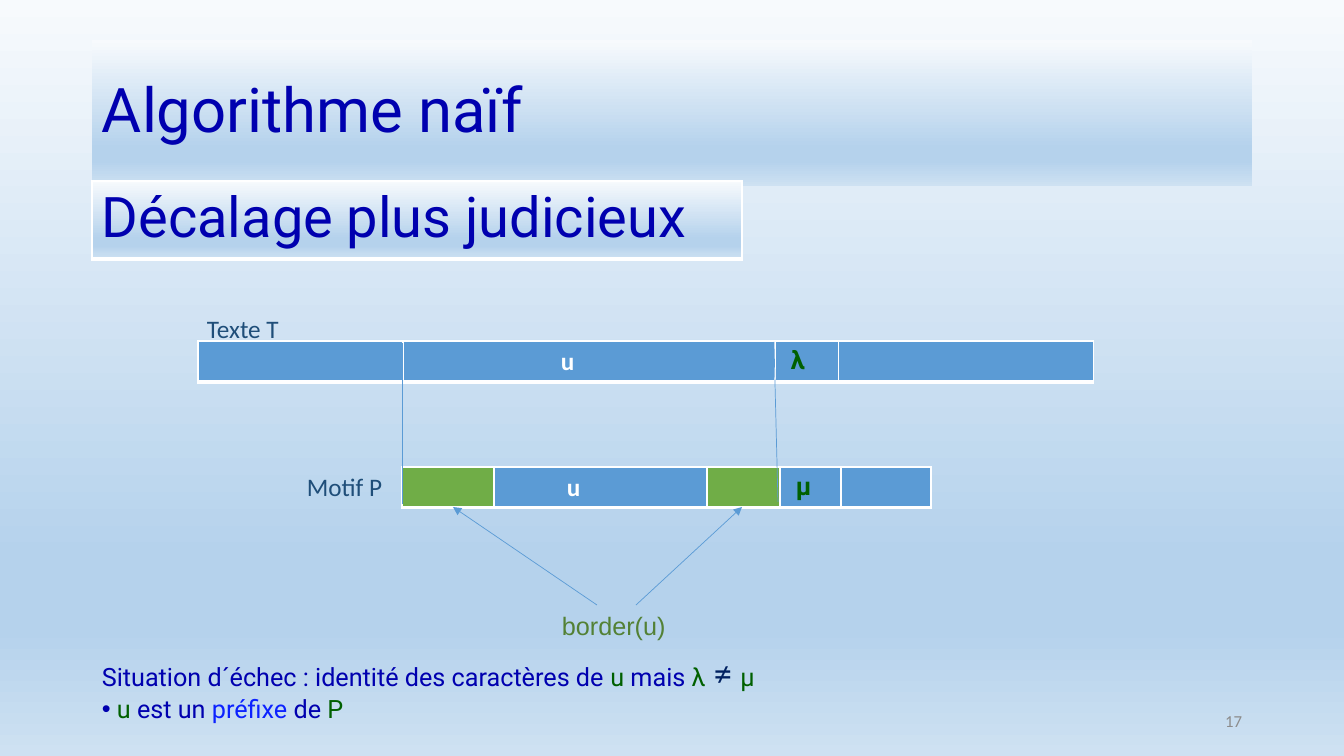
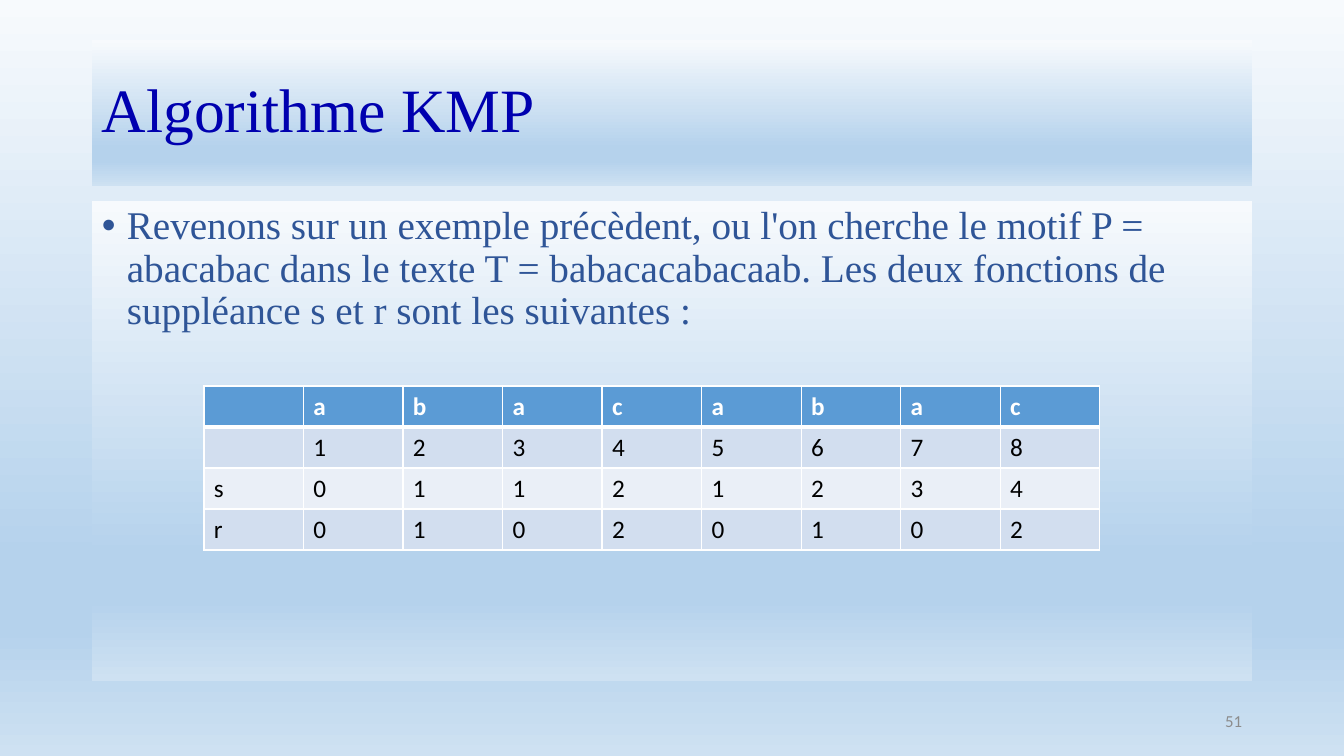
from lxml.etree import SubElement
from pptx import Presentation
from pptx.dml.color import RGBColor
from pptx.enum.shapes import MSO_CONNECTOR, MSO_SHAPE
from pptx.enum.text import MSO_ANCHOR, PP_ALIGN
from pptx.oxml.ns import qn
from pptx.util import Emu, Pt

SLIDE_WIDTH, SLIDE_HEIGHT = 1344, 756
SCALE = 12192000 / SLIDE_WIDTH

# Colours
NAVY = RGBColor(0x00, 0x00, 0xAF)
INK = RGBColor(0x00, 0x20, 0x60)
BRIGHT_BLUE = RGBColor(0x0C, 0x22, 0xFF)
BODY_BLUE = RGBColor(0x2F, 0x55, 0x97)
LABEL_BLUE = RGBColor(0x1F, 0x4E, 0x79)
DARK_GREEN = RGBColor(0x00, 0x60, 0x00)
BORDER_GREEN = RGBColor(0x53, 0x81, 0x35)
GREY = RGBColor(0x8C, 0x8C, 0x8C)
BLACK = RGBColor(0x00, 0x00, 0x00)
WHITE = RGBColor(0xFF, 0xFF, 0xFF)
BLUE = RGBColor(0x5B, 0x9B, 0xD5)
GREEN = RGBColor(0x70, 0xAD, 0x47)
BAND_DARK = RGBColor(0xD2, 0xDE, 0xEF)
BAND_LIGHT = RGBColor(0xEA, 0xEF, 0xF7)
SKY = [
    (0, RGBColor(0xF7, 0xFA, 0xFD)),
    (74, RGBColor(0xB5, 0xD2, 0xEC)),
    (83, RGBColor(0xB5, 0xD2, 0xEC)),
    (100, RGBColor(0xCE, 0xE1, 0xF2)),
]

# Text formats
TITLE_ROBOTO = {"name": "Roboto", "size": Pt(44)}
TITLE_TIMES = {"name": "Times New Roman", "size": Pt(44)}
SUBTITLE = {"name": "Roboto", "size": Pt(40)}
BODY = {"name": "Times New Roman", "size": Pt(28)}
NOTE = {"name": "Roboto", "size": Pt(18)}
SYMBOL = {"name": "Roboto", "size": Pt(18), "bold": True}
UNEQUAL = {"name": "Calibri", "size": Pt(26)}
LABEL = {"name": "Calibri", "size": Pt(18)}
HEADER = {"name": "Calibri", "size": Pt(18), "bold": True}
CAPTION = {"name": "Arial", "size": Pt(18)}
NUMBER = {"name": "Calibri", "size": Pt(12)}
PLAIN = {"alignment": PP_ALIGN.LEFT}
TIGHT = {"alignment": PP_ALIGN.LEFT, "line_spacing": 0.9}
RIGHT = {"alignment": PP_ALIGN.RIGHT}


def add_runs(paragraph, runs):
    for text, text_format, colour in runs:
        run = paragraph.add_run()
        run.text = text
        for key, value in text_format.items():
            setattr(run.font, key, value)
        run.font.color.rgb = colour


def fill_sky(fill, owner):
    fill.gradient()
    fill.gradient_angle = 270
    stops = next(owner.iter(qn("a:gsLst")))
    stops.clear()
    for percent, colour in SKY:
        stop = SubElement(stops, qn("a:gs"), pos=str(percent * 1000))
        SubElement(stop, qn("a:srgbClr"), val=str(colour))


prs = Presentation()
prs.slide_width = Emu(round(SLIDE_WIDTH * SCALE))
prs.slide_height = Emu(round(SLIDE_HEIGHT * SCALE))
fill_sky(prs.slide_master.background.fill, prs.slide_master.element)
naive, kmp = [prs.slides.add_slide(prs.slide_layouts[6]) for _ in range(2)]

# Text: slide, box, panel or not, anchor, paragraphs (settings, bullet, runs)
texts = []
for slide, title, title_format, number in [
    (naive, "Algorithme naïf", TITLE_ROBOTO, "17"),
    (kmp, "Algorithme KMP", TITLE_TIMES, "51"),
]:
    texts += [
        (slide, (92, 40, 1160, 146), True, MSO_ANCHOR.MIDDLE,
         [(TIGHT, None, [(title, title_format, NAVY)])]),
        (slide, (950, 701, 302, 40), False, MSO_ANCHOR.MIDDLE,
         [(RIGHT, None, [(number, NUMBER, GREY)])]),
    ]
for box, label, label_format, colour in [
    ((197, 308, 118, 40), "Texte T", LABEL, LABEL_BLUE),
    ((297, 466, 105, 40), "Motif P", LABEL, LABEL_BLUE),
    ((552, 605, 139, 40), "border(u)", CAPTION, BORDER_GREEN),
]:
    texts.append((naive, box, False, MSO_ANCHOR.TOP,
                  [(PLAIN, None, [(label, label_format, colour)])]))
texts += [
    (naive, (92, 645, 791, 85), False, MSO_ANCHOR.TOP, [
        (PLAIN, None, [
            ("Situation d´échec : identité des caractères de ", NOTE, NAVY),
            ("u ", NOTE, DARK_GREEN),
            ("mais ", NOTE, NAVY),
            ("λ", NOTE, DARK_GREEN),
            (" ≠ ", UNEQUAL, INK),
            ("μ", NOTE, DARK_GREEN),
        ]),
        (PLAIN, (15, NAVY), [
            ("u ", NOTE, DARK_GREEN),
            ("est un ", NOTE, NAVY),
            ("préfixe ", NOTE, BRIGHT_BLUE),
            ("de ", NOTE, NAVY),
            ("P", NOTE, DARK_GREEN),
        ]),
    ]),
    (kmp, (92, 201, 1160, 480), True, MSO_ANCHOR.TOP, [
        (TIGHT, (25, BODY_BLUE), [
            ("Revenons sur un exemple précèdent, ou l'on cherche le motif P = "
             "abacabac dans le texte T = babacacabacaab. Les deux fonctions de "
             "suppléance s et r sont les suivantes :", BODY, BODY_BLUE),
        ]),
    ]),
]
for slide, box, is_panel, anchor, paragraphs in texts:
    area = [Emu(round(length * SCALE)) for length in box]
    if is_panel:
        holder = slide.shapes.add_shape(MSO_SHAPE.RECTANGLE, *area)
        holder.shadow.inherit = False
        holder.line.fill.background()
        fill_sky(holder.fill, holder._element)
    else:
        holder = slide.shapes.add_textbox(*area)
    frame = holder.text_frame
    for key, value in {"word_wrap": True, "vertical_anchor": anchor}.items():
        setattr(frame, key, value)
    for index, (settings, bullet, runs) in enumerate(paragraphs):
        paragraph = frame.add_paragraph() if index else frame.paragraphs[0]
        if bullet:
            indent, colour = bullet
            props = paragraph._p.get_or_add_pPr()
            props.set("marL", str(round(indent * SCALE)))
            props.set("indent", str(round(-indent * SCALE)))
            tint = SubElement(props, qn("a:buClr"))
            SubElement(tint, qn("a:srgbClr"), val=str(colour))
            SubElement(props, qn("a:buFont"), typeface="Arial")
            SubElement(props, qn("a:buChar"), char="•")
        for key, value in settings.items():
            setattr(paragraph, key, value)
        add_runs(paragraph, runs)

# Tables: slide, left, top, column widths, row height, rows of cells
# Cell: text, format, text colour, fill (None for the gradient), left margin
EMPTY_BLUE = ("", HEADER, WHITE, BLUE, 10)
EMPTY_GREEN = ("", HEADER, WHITE, GREEN, 10)
kmp_rows = [[(text, HEADER, WHITE, BLUE, 10) for text in ["", *"abacabac"]]]
for values, band in [
    (["", *"12345678"], BAND_DARK),
    (["s", *"01121234"], BAND_LIGHT),
    (["r", *"01020102"], BAND_DARK),
]:
    kmp_rows.append([(value, LABEL, BLACK, band, 10) for value in values])

tables = [
    (naive, 92, 181, [650], 78,
     [[("Décalage plus judicieux", SUBTITLE, NAVY, None, 10)]]),
    (naive, 198, 341, [205, 372, 64, 255], 41,
     [[EMPTY_BLUE, ("u", HEADER, WHITE, BLUE, 158),
       ("λ", SYMBOL, DARK_GREEN, BLUE, 16), EMPTY_BLUE]]),
    (naive, 402, 467, [92, 213, 73, 61, 90], 40,
     [[EMPTY_GREEN, ("u", HEADER, WHITE, BLUE, 73), EMPTY_GREEN,
       ("μ", SYMBOL, DARK_GREEN, BLUE, 16), EMPTY_BLUE]]),
    (kmp, 204, 386, [896 / 9] * 9, 41, kmp_rows),
]
for slide, left, top, widths, row_height, rows in tables:
    box = (left, top, sum(widths), row_height * len(rows))
    table = slide.shapes.add_table(
        len(rows), len(widths), *[Emu(round(length * SCALE)) for length in box]
    ).table
    table.first_row = table.horz_banding = False
    for column, width in zip(table.columns, widths):
        column.width = Emu(round(width * SCALE))
    for row_index, row in enumerate(rows):
        table.rows[row_index].height = Emu(round(row_height * SCALE))
        for column_index, (text, text_format, colour, fill, margin) in enumerate(row):
            cell = table.cell(row_index, column_index)
            cell.margin_left = Emu(round(margin * SCALE))
            # White borders, thick below the first row
            edges = {"lnL": 1, "lnR": 1,
                     "lnT": 3 if row_index == 1 else 1,
                     "lnB": 3 if row_index == 0 else 1}
            for edge, weight in edges.items():
                border = SubElement(cell._tc.get_or_add_tcPr(), qn("a:" + edge),
                                    w=str(Pt(weight)))
                paint = SubElement(border, qn("a:solidFill"))
                SubElement(paint, qn("a:srgbClr"), val=str(WHITE))
            if fill is None:
                fill_sky(cell.fill, cell._tc)
            else:
                cell.fill.solid()
                cell.fill.fore_color.rgb = fill
            if text:
                add_runs(cell.text_frame.paragraphs[0], [(text, text_format, colour)])

# Guides from text to pattern, and arrows to both borders of u
for start_x, start_y, end_x, end_y, has_arrow in [
    (402, 343, 402, 504, False),
    (774, 342, 778, 502, False),
    (636, 605, 742, 507, True),
    (597, 605, 453, 507, True),
]:
    ends = [Emu(round(length * SCALE)) for length in (start_x, start_y, end_x, end_y)]
    link = naive.shapes.add_connector(MSO_CONNECTOR.STRAIGHT, *ends)
    link.line.color.rgb = BLUE
    link.line.width = Pt(0.5)
    if has_arrow:
        SubElement(link.line._get_or_add_ln(), qn("a:tailEnd"), type="triangle")
    SubElement(link._element.spPr, qn("a:effectLst"))

prs.save("out.pptx")
